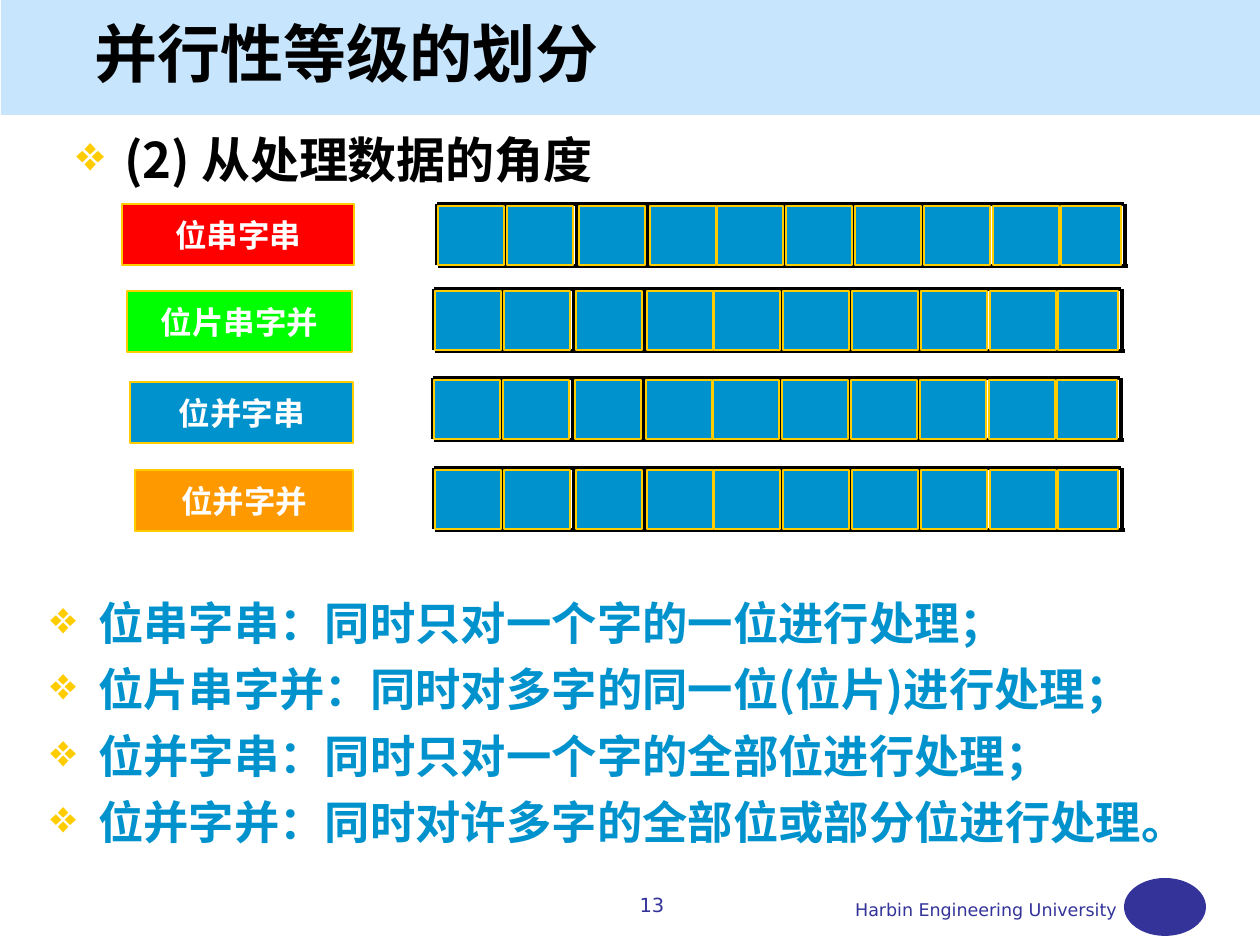
"""Build a slide on levels of parallelism, seen from data processing."""
from lxml import etree
from pptx import Presentation
from pptx import util as u
from pptx.dml.color import RGBColor
from pptx.enum import shapes, text
from pptx.oxml.ns import qn

TITLE = "并行性等级的划分"
HEADING = "(2) 从处理数据的角度"
POINTS = [
    "位串字串：同时只对一个字的一位进行处理；",
    "位片串字并：同时对多字的同一位(位片)进行处理；",
    "位并字串：同时只对一个字的全部位进行处理；",
    "位并字并：同时对许多字的全部位或部分位进行处理。",
]
ROWS = [
    dict(label="位串字串", fill="FF0000", box=(122, 204, 232, 61), grid=(437, 204)),
    dict(label="位片串字并", fill="00FF00", box=(127, 291, 225, 61), grid=(434, 289)),
    dict(label="位并字串", fill="0092CC", box=(130, 382, 223, 61), grid=(433, 378)),
    dict(label="位并字并", fill="FF9900", box=(135, 470, 218, 61), grid=(434, 468)),
]
DIVIDERS = [0, 69, 140, 211, 280, 348, 416, 485, 552, 624, 688]
CELLS = [1, 70, 142, 213, 280, 349, 418, 487, 556, 624]
CELL_W, LAST_W, CELL_H, ROW_H = 66, 60, 59, 62
THEME = dict(
    black="000000", white="FFFFFF", band="C7E6FD", blue="0092CC", gold="FFCC00", navy="333399",
    cjk="Noto Sans CJK SC", serif="Times New Roman", sans="DejaVu Sans",
    title=36, heading=28, body=25.9, label=18, footer=10, number=11.1,
)
LEFT, CENTER, RIGHT = text.PP_ALIGN.LEFT, text.PP_ALIGN.CENTER, text.PP_ALIGN.RIGHT
PROCESS = shapes.MSO_SHAPE.FLOWCHART_PROCESS


def px(*values):
    return [u.Inches(v / 126) for v in values]


def rgb(name):
    return RGBColor.from_string(THEME.get(name, name))


def write(p, words, size, font, color, bold=True, align=LEFT):
    p.alignment = align
    r = p.add_run()
    r.text = words
    r.font.size, r.font.bold = u.Pt(THEME[size]), bold
    r.font.name, r.font.color.rgb = THEME[font], rgb(color)
    etree.SubElement(r.font._element, qn("a:ea"), typeface=THEME["cjk"])


def bullet(p):
    ppr = p._p.get_or_add_pPr()
    ppr.set("marL", str(u.Inches(0.38)))
    ppr.set("indent", str(-u.Inches(0.38)))
    color = etree.SubElement(ppr, qn("a:buClr"))
    etree.SubElement(color, qn("a:srgbClr"), val=THEME["gold"])
    etree.SubElement(ppr, qn("a:buChar"), char="❖")


def add_box(s, box, fill, line=None, kind=PROCESS):
    sp = s.shapes.add_shape(kind, *px(*box))
    sp.shadow.inherit = False
    sp.fill.solid()
    sp.fill.fore_color.rgb = rgb(fill)
    if line:
        sp.line.color.rgb = rgb(line)
        sp.line.width = u.Pt(0.75)
    else:
        sp.line.fill.background()
    return sp


def add_label(sp, words):
    tf = sp.text_frame
    tf.word_wrap = False
    tf.vertical_anchor = text.MSO_ANCHOR.MIDDLE
    write(tf.paragraphs[0], words, "label", "serif", "white", align=CENTER)


def add_text(s, box):
    tf = s.shapes.add_textbox(*px(*box)).text_frame
    tf.word_wrap = True
    return tf


def add_line(s, x1, y1, x2, y2):
    c = s.shapes.add_connector(shapes.MSO_CONNECTOR.STRAIGHT, *px(x1, y1, x2, y2))
    c.line.color.rgb = rgb("black")
    c.line.width = u.Pt(2)
    etree.SubElement(c._element.spPr, qn("a:effectLst"))


def add_grid(s, x, y):
    add_line(s, x, y, x + 687, y)
    add_line(s, x + 1, y + ROW_H, x + 691, y + ROW_H)
    for dx in DIVIDERS:
        add_line(s, x + dx, y, x + dx, y + ROW_H - 1)
    for dx in CELLS:
        width = LAST_W if dx == CELLS[-1] else CELL_W
        add_box(s, (x + dx, y + 2, width, CELL_H), "blue", "gold")


def add_title(s):
    title = s.shapes.title
    title.left, title.top, title.width, title.height = px(82, 10, 1081, 84)
    tf = title.text_frame
    tf.vertical_anchor = text.MSO_ANCHOR.MIDDLE
    write(tf.paragraphs[0], TITLE, "title", "cjk", "black")
    band = add_box(s, (1, 0, 1259, 115), "band", kind=shapes.MSO_SHAPE.RECTANGLE)
    title._element.addprevious(band._element)


def add_points(s):
    tf = add_text(s, (38, 589, 1205, 279))
    for i, words in enumerate(POINTS):
        p = tf.add_paragraph() if i else tf.paragraphs[0]
        bullet(p)
        p.line_spacing = u.Pt(31)
        if i:
            p.space_before = u.Pt(7)
        write(p, words, "body", "cjk", "blue")


def add_footer(s):
    add_box(s, (1124, 878, 82, 58), "navy", kind=shapes.MSO_SHAPE.OVAL)
    p = add_text(s, (583, 893, 546, 42)).paragraphs[0]
    write(p, "Harbin Engineering University", "footer", "sans", "navy", False, RIGHT)
    p = add_text(s, (505, 890, 294, 42)).paragraphs[0]
    p.line_spacing = 0.9
    write(p, "13", "number", "sans", "navy", False, CENTER)


def main():
    prs = Presentation()
    prs.slide_width, prs.slide_height = px(1260, 945)
    s = prs.slides.add_slide(prs.slide_layouts[5])
    add_title(s)
    p = add_text(s, (64, 123, 1134, 79)).paragraphs[0]
    bullet(p)
    write(p, HEADING, "heading", "cjk", "black")
    for row in ROWS:
        label = add_box(s, row["box"], row["fill"], "gold")
        add_label(label, row["label"])
        add_grid(s, *row["grid"])
    add_points(s)
    add_footer(s)
    prs.save("out.pptx")


if __name__ == "__main__":
    main()
